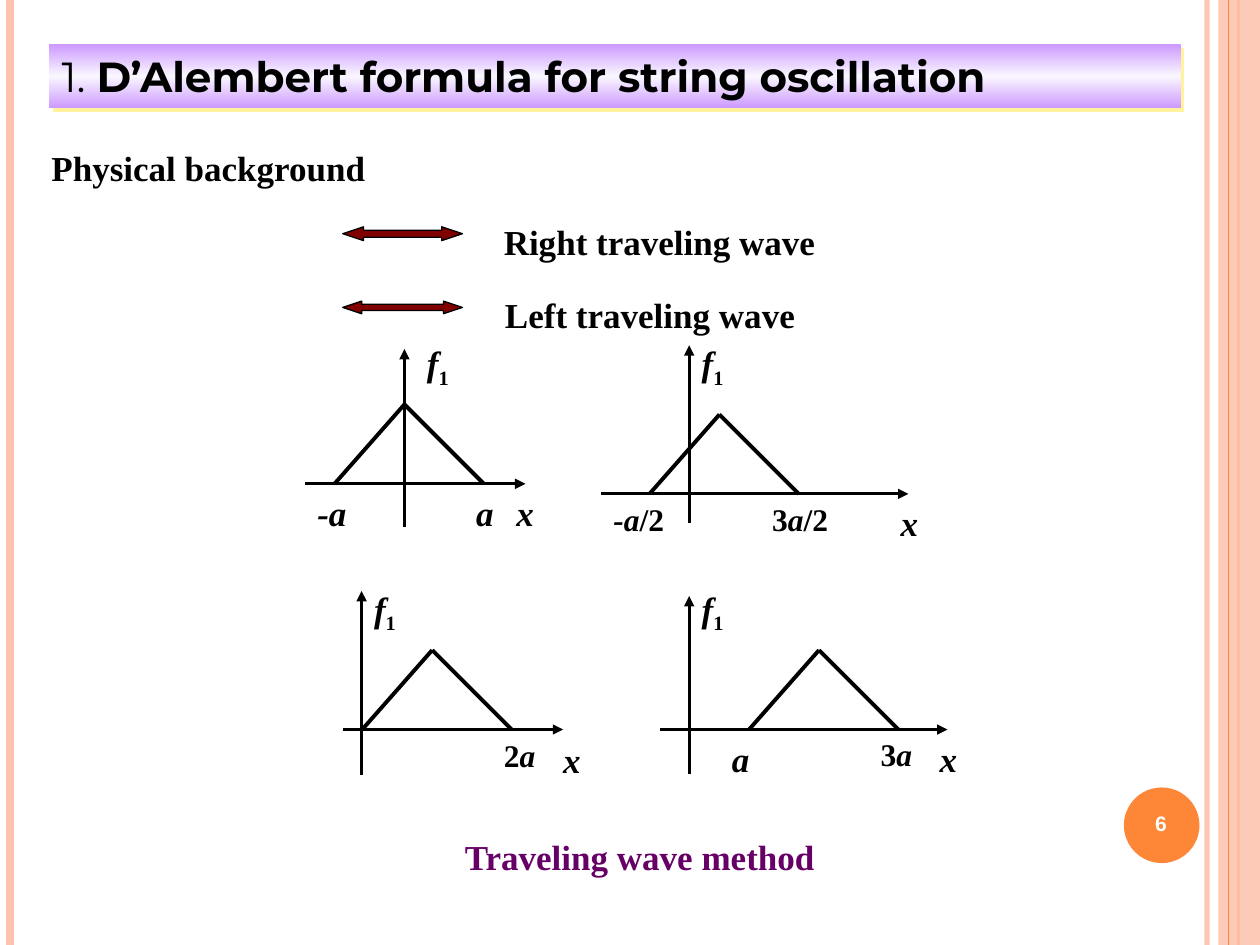
"""Build the slide on the D'Alembert formula and travelling waves."""
from lxml import etree
from pptx import Presentation
from pptx.dml.color import RGBColor
from pptx.enum.shapes import MSO_CONNECTOR, MSO_SHAPE
from pptx.enum.text import MSO_ANCHOR, PP_ALIGN
from pptx.oxml import parse_xml
from pptx.oxml.ns import nsdecls, qn
from pptx.util import Inches, Pt

STRAIGHT = MSO_CONNECTOR.STRAIGHT
RECT, OVAL, ARROW = MSO_SHAPE.RECTANGLE, MSO_SHAPE.OVAL, MSO_SHAPE.LEFT_RIGHT_ARROW
TOP, MIDDLE = MSO_ANCHOR.TOP, MSO_ANCHOR.MIDDLE
LEFT, CENTER, JUSTIFY = PP_ALIGN.LEFT, PP_ALIGN.CENTER, PP_ALIGN.JUSTIFY

THEME = {
    "ink": "000000", "white": "FFFFFF", "purple": "660066", "maroon": "800000",
    "peach": "FEC3AE", "orange": "FE8637", "lilac": "CC99FF", "pale": "FAF7FF",
    "yellow": "FFF39D", "serif": "Times New Roman", "sans": "Arial",
    "display": "Montserrat", "title": 24, "body": 20, "label": 18, "number": 12,
}

prs = Presentation()
prs.slide_width, prs.slide_height = Inches(10), Inches(7.5)
COL, ROW = prs.slide_width / 100, prs.slide_height / 75
s = prs.slides.add_slide(prs.slide_layouts[6])


def add_line(x1, y1, x2, y2, color="ink", width=2.25, arrow=False):
    ln = s.shapes.add_connector(
        STRAIGHT, int(x1 * COL), int(y1 * ROW), int(x2 * COL), int(y2 * ROW))
    ln.line.color.rgb = RGBColor.from_string(THEME[color])
    ln.line.width = Pt(width)
    if arrow:
        etree.SubElement(ln.line._get_or_add_ln(), qn("a:tailEnd"), type="triangle")
    etree.SubElement(ln._element.spPr, qn("a:effectLst"))
    return ln


def add_text(box, runs, size="body", color="ink", font="serif",
             align=JUSTIFY, spacing=1.5, anchor=MIDDLE, sp=None):
    if sp is None:
        x, y, w, h = box
        sp = s.shapes.add_textbox(int(x * COL), int(y * ROW), int(w * COL), int(h * ROW))
    tf = sp.text_frame
    tf.word_wrap = True
    tf.vertical_anchor = anchor
    p = tf.paragraphs[0]
    p.alignment, p.line_spacing = align, spacing
    for text, style in runs:
        r = p.add_run()
        r.text = text
        r.font.name, r.font.size = THEME[font], Pt(THEME[size])
        r.font.color.rgb = RGBColor.from_string(THEME[color])
        r.font.bold = style != "plain"
        r.font.italic = style == "italic"
        if style == "sub":
            r.font._element.set("baseline", "-25000")


edge = add_line(95.8, 0, 95.8, 75, "peach", 3)
add_line(0.8, 0, 0.8, 75, "peach", 4.5)
add_line(98.3, 0, 98.3, 75, "orange", 1.5)

filled = []
for kind, x, y, w, h, color in [
    (RECT, 96.7, 0, 3.3, 75, "peach"),
    (OVAL, 89.2, 62.5, 6, 6, "orange"),
    (ARROW, 27.2, 18, 9.5, 1.1, "maroon"),
    (ARROW, 27.2, 23.9, 9.5, 1, "maroon"),
]:
    sp = s.shapes.add_shape(kind, int(x * COL), int(y * ROW), int(w * COL), int(h * ROW))
    sp.shadow.inherit = False
    sp.fill.solid()
    sp.fill.fore_color.rgb = RGBColor.from_string(THEME[color])
    if kind == ARROW:
        sp.adjustments[0], sp.adjustments[1] = 0.5, 1.5
        sp.line.color.rgb = RGBColor.from_string(THEME["ink"])
        sp.line.width = Pt(0.75)
    else:
        sp.line.fill.background()
    filled.append(sp)
add_line(97.5, 0, 97.5, 75, "orange", 0.75)

for sp, percent in [(edge, 93), (filled[0], 87)]:
    clr = next(sp._element.spPr.iter(qn("a:srgbClr")))
    etree.SubElement(clr, qn("a:alpha"), val=str(percent * 1000))

for x, y, w, text, color in [
    (3.1, 9.4, 41, "Physical background", "ink"),
    (39, 15.3, 41, "Right traveling wave", "ink"),
    (39.1, 21.1, 41, "Left traveling wave", "ink"),
    (35.9, 64.1, 35.2, "Traveling wave method", "purple"),
]:
    add_text((x, y, w, 6.1), [(text, "bold")], color=color)

A, X = ("a", "italic"), ("x", "italic")
MINUS_A, HALF = ("-a", "italic"), ("/2", "bold")
TWO, THREE = ("2", "bold"), ("3", "bold")
F1 = [("f", "italic"), ("1", "sub")]
HEIGHTS = {"body": 6.1, "label": 5.6}
RISE, LEFT_RUN, RIGHT_RUN = 6.3, 5.55, 6.3

graphs = [
    {"x_axis": (24.2, 41.7, 38.4), "y_axis": (32.1, 41.8, 27.7), "peak": 32.1,
     "f": (32.9, 25), "row": 36.8,
     "labels": [(40, 3.9, [X], "body"), (36.8, 3.9, [A], "body"),
                (24.2, 6.3, [MINUS_A], "body")]},
    {"x_axis": (47.7, 72.1, 39.2), "y_axis": (54.7, 41.5, 27.4), "peak": 57.1,
     "f": (54.7, 25), "row": 37.6,
     "labels": [(70.5, 3.9, [X], "body"), (60.3, 10.2, [THREE, A, HALF], "label"),
                (47.7, 6.3, [MINUS_A, HALF], "label")]},
    {"x_axis": (27.2, 44.7, 57.9), "y_axis": (28.7, 61.5, 46.9), "peak": 34.3,
     "f": (28.7, 44.5), "row": 56.4,
     "labels": [(43.7, 3.9, [X], "body"), (39, 5.5, [TWO, A], "label")]},
    {"x_axis": (52.4, 75.2, 57.9), "y_axis": (54.7, 61.4, 47.3), "peak": 65,
     "f": (54.7, 44.5), "row": 56.3,
     "labels": [(73.6, 3.9, [X], "body"), (68.9, 4.7, [THREE, A], "label"),
                (57.1, 6.3, [A], "body")]},
]
for graph in graphs:
    start, end, base = graph["x_axis"]
    origin, bottom, top = graph["y_axis"]
    peak = graph["peak"]
    add_line(start, base, end, base, width=1.75, arrow=True)
    add_line(origin, bottom, origin, top, width=1.75, arrow=True)
    for foot in (peak + RIGHT_RUN, peak - LEFT_RUN):
        add_line(peak, base - RISE, foot, base)
    add_text((*graph["f"], 5.5, 6.1), F1)
    for x, w, runs, size in graph["labels"]:
        add_text((x, graph["row"], w, HEIGHTS[size]), runs, size)

add_text((88.8, 62.5, 6.7, 5.7), [("6", "bold")], "number", "white", "sans", CENTER, 1)

title = s.shapes.add_shape(RECT, int(3.9 * COL), int(3.5 * ROW), int(89.8 * COL), int(5.1 * ROW))
stops = "".join(
    f'<a:gs pos="{pos * 1000}"><a:srgbClr val="{THEME[color]}"/></a:gs>'
    for pos, color in [(0, "lilac"), (50, "pale"), (100, "lilac")])
title._element.spPr.append(parse_xml(
    f'<a:gradFill {nsdecls("a")}><a:gsLst>{stops}</a:gsLst>'
    '<a:lin ang="5400000" scaled="0"/></a:gradFill>'))
title.line.fill.background()
title.shadow.inherit = False
title._element.spPr.find(qn("a:effectLst")).append(parse_xml(
    f'<a:outerShdw {nsdecls("a")} blurRad="0" dist="{Pt(2.8)}" dir="2700000" algn="ctr" '
    f'rotWithShape="0"><a:srgbClr val="{THEME["yellow"]}"/></a:outerShdw>'))
add_text(None, [("1. ", "plain"), ("D’Alembert formula for string oscillation", "bold")],
         "title", font="display", align=LEFT, spacing=1, anchor=TOP, sp=title)

prs.save("out.pptx")
